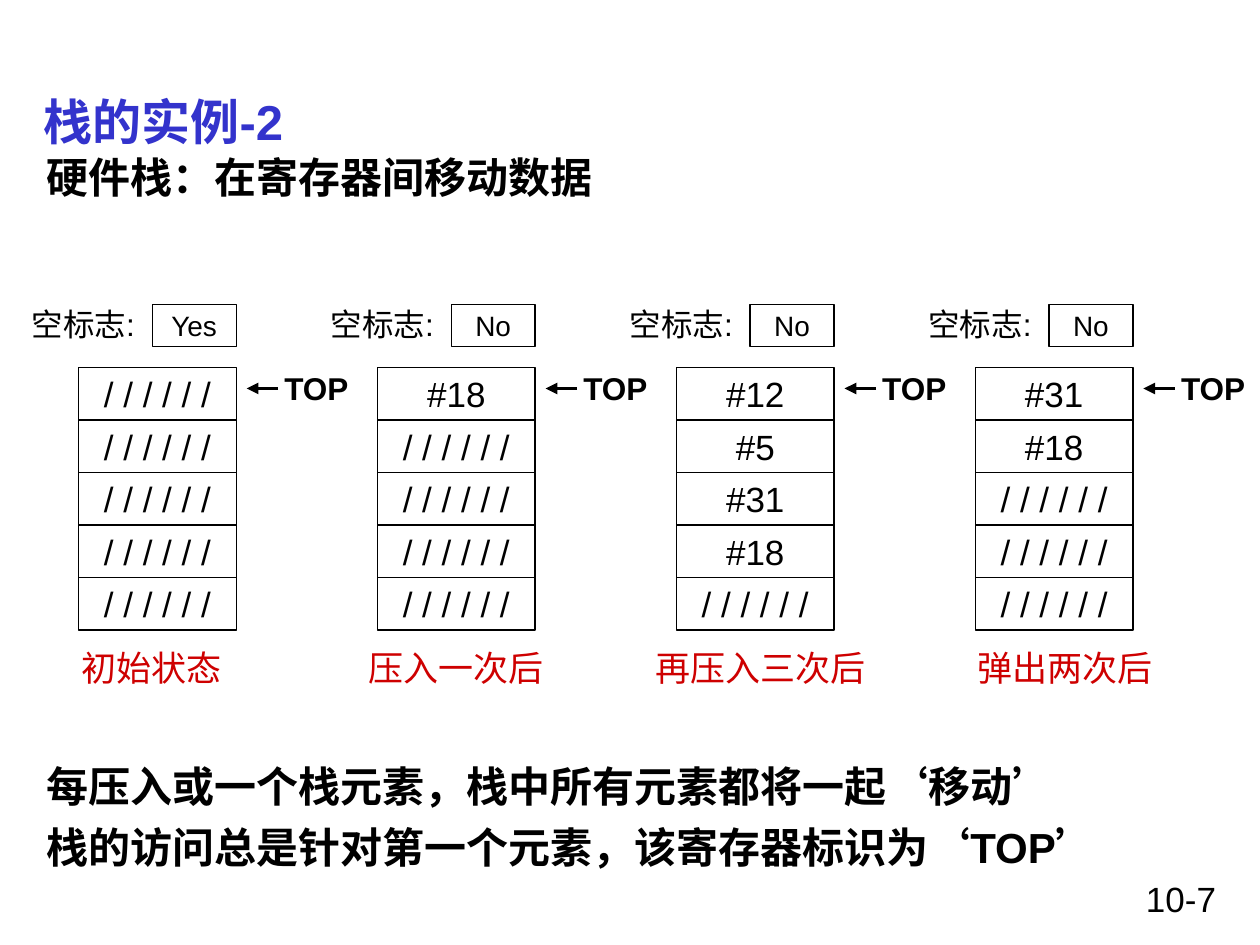
from lxml.etree import SubElement
from pptx import Presentation
from pptx.dml.color import RGBColor
from pptx.enum.lang import MSO_LANGUAGE_ID
from pptx.enum.shapes import MSO_CONNECTOR, MSO_SHAPE
from pptx.enum.text import MSO_ANCHOR, PP_ALIGN
from pptx.oxml.ns import qn
from pptx.util import Pt

# Content
TITLE = "栈的实例-2"
SUBTITLE = "硬件栈：在寄存器间移动数据"
NOTES = [
    "每压入或一个栈元素，栈中所有元素都将一起‘移动’",
    "栈的访问总是针对第一个元素，该寄存器标识为‘TOP’",
]
PAGE = "10-7"
FLAG_LABEL = "空标志:"
EMPTY = "/ / / / / /"
DEPTH = 5
STACKS = [  # caption, empty flag, values from the top down
    ("初始状态", "Yes", []),
    ("压入一次后", "No", ["#18"]),
    ("再压入三次后", "No", ["#12", "#5", "#31", "#18"]),
    ("弹出两次后", "No", ["#31", "#18"]),
]

# Colours and layout, in points
BLACK, BLUE, RED = "000000", "3333CC", "CE0000"
LEFT, PITCH = 45, 170.8
CELL_TOP, CELL_W, CELL_H = 210, 90, 30
FLAG_TOP, FLAG_W, FLAG_H = 174, 48, 24
CAPTION_MID, CAPTION_PITCH, CAPTION_W = 86.8, 174, 135


def rgb(code):
    return RGBColor.from_string(code)


def write(s, lines, size, color=BLACK, bold=False, align=PP_ALIGN.LEFT,
          anchor=MSO_ANCHOR.TOP, wrap=False):
    tf = s.text_frame
    tf.word_wrap = wrap
    tf.vertical_anchor = anchor
    for i, line in enumerate(lines):
        p = tf.add_paragraph() if i else tf.paragraphs[0]
        p.alignment = align
        if i:
            p.space_before = Pt(6)
        r = p.add_run()
        r.text = line
        r.font.name = "Arial"
        r.font.size = Pt(size)
        r.font.bold = bold
        r.font.color.rgb = rgb(color)
        r.font.language_id = MSO_LANGUAGE_ID.SIMPLIFIED_CHINESE


def add_text(x, y, w, h, lines, size, **style):
    s = sp.add_textbox(Pt(x), Pt(y), Pt(w), Pt(h))
    write(s, lines, size, **style)


def add_box(x, y, w, h, text, size):
    s = sp.add_shape(MSO_SHAPE.RECTANGLE, Pt(x), Pt(y), Pt(w), Pt(h))
    s.shadow.inherit = False
    s.fill.background()
    s.line.color.rgb = rgb(BLACK)
    s.line.width = Pt(0.75)
    write(s, [text], size, align=PP_ALIGN.CENTER, anchor=MSO_ANCHOR.MIDDLE)


def add_arrow(x1, x2, y):
    s = sp.add_connector(MSO_CONNECTOR.STRAIGHT, Pt(x1), Pt(y), Pt(x2), Pt(y))
    s.line.color.rgb = rgb(BLACK)
    s.line.width = Pt(2.25)
    SubElement(s.line._get_or_add_ln(), qn("a:tailEnd"), type="triangle")
    SubElement(s._element.spPr, qn("a:effectLst"))


prs = Presentation()
prs.slide_width, prs.slide_height = Pt(720), Pt(540)
sp = prs.slides.add_slide(prs.slide_layouts[6]).shapes

# Page number, heading and notes
add_text(516, 498, 186, 30, [PAGE], 20, align=PP_ALIGN.RIGHT, wrap=True)
add_text(18, 48, 684, 42, [TITLE], 28, color=BLUE, bold=True,
         anchor=MSO_ANCHOR.MIDDLE, wrap=True)
add_text(19.4, 82.8, 684, 36, [SUBTITLE], 24, bold=True, wrap=True)
add_text(19.4, 430.8, 684, 72, NOTES, 24, bold=True, wrap=True)

# Four stack states
for i, (caption, flag, values) in enumerate(STACKS):
    x = LEFT + i * PITCH
    right = x + CELL_W
    cells = values + [EMPTY] * (DEPTH - len(values))
    for row, value in enumerate(cells):
        add_box(x, CELL_TOP + row * CELL_H, CELL_W, CELL_H, value, 20)

    # Empty flag
    add_box(right - FLAG_W, FLAG_TOP, FLAG_W, FLAG_H, flag, 16)
    add_text(x - 38.8, 170.8, 78, 29, [FLAG_LABEL], 18, align=PP_ALIGN.RIGHT)

    # Top marker
    add_text(right + 20.4, 207.4, 51, 29, ["TOP"], 18, bold=True)
    add_arrow(right + 24, right + 6, 222)

    # Caption
    mid = CAPTION_MID + i * CAPTION_PITCH
    add_text(mid - CAPTION_W / 2, 366, CAPTION_W, 31.6, [caption], 20,
             color=RED, align=PP_ALIGN.CENTER)

prs.save("out.pptx")
